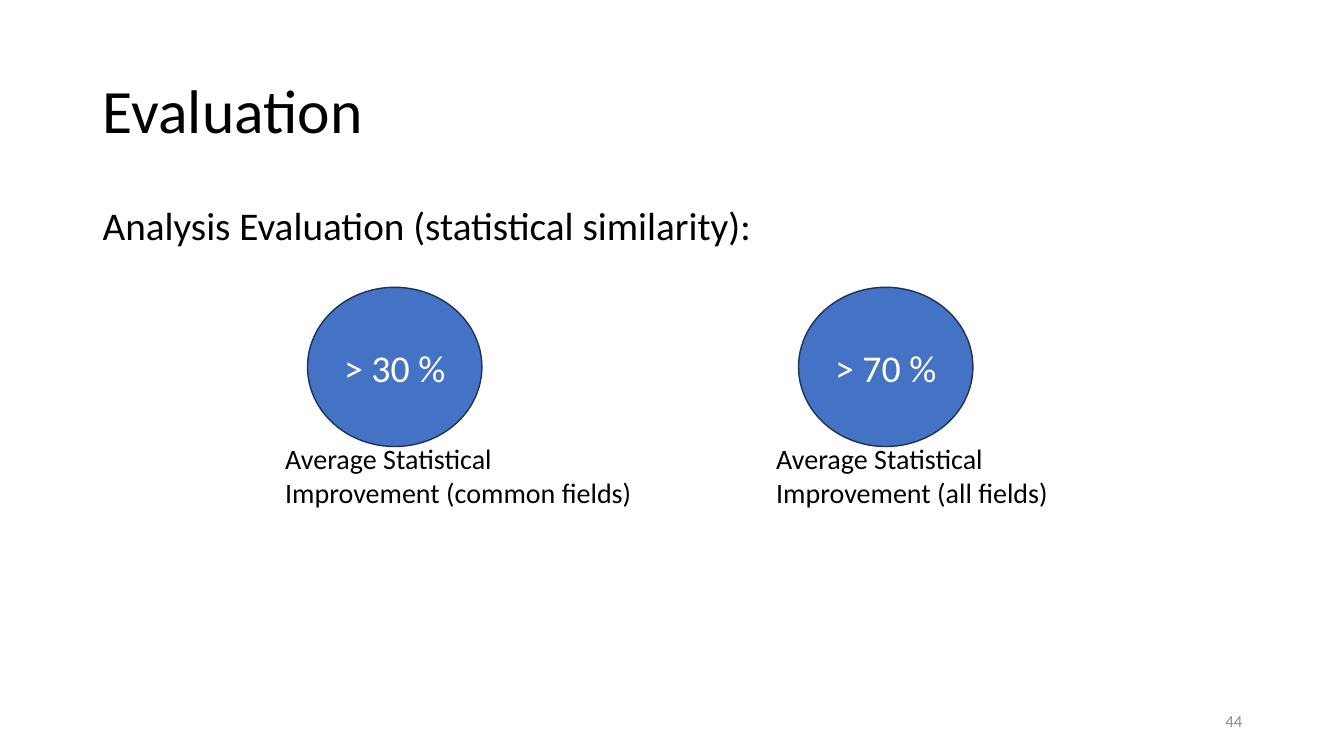
from pptx import Presentation
from pptx.dml.color import RGBColor
from pptx.enum.shapes import MSO_SHAPE
from pptx.enum.text import MSO_ANCHOR, PP_ALIGN
from pptx.util import Inches, Pt

TITLE = "Evaluation"
SUBTITLE = "Analysis Evaluation (statistical similarity):"
PAGE = "44"
# circle left, value, caption, caption width
RESULTS = [
    (3.05, "> 30 %", "Average Statistical Improvement (common fields)", 3.69),
    (7.92, "> 70 %", "Average Statistical Improvement (all fields)", 3),
]
COLORS = {"text": "000000", "page": "8C8C8C", "circle": "4472C4",
          "outline": "1E3256", "value": "FFFFFF"}
FONT = "Calibri"
CIRCLE_TOP, CIRCLE_W, CIRCLE_H = 2.85, 1.73, 1.58
CAPTION_TOP, CAPTION_H, CAPTION_SHIFT = 4.33, 0.77, -0.32


def color(name):
    return RGBColor.from_string(COLORS[name])


def write(shape, text, size, fill="text", align=PP_ALIGN.LEFT,
          anchor=MSO_ANCHOR.TOP, spacing=1.0):
    tf = shape.text_frame
    tf.word_wrap = True
    tf.vertical_anchor = anchor
    tf.text = text
    p = tf.paragraphs[0]
    p.alignment = align
    p.line_spacing = spacing
    p.font.name = FONT
    p.font.size = Pt(size)
    p.font.color.rgb = color(fill)


def add_text(s, box, text, size, **style):
    write(s.shapes.add_textbox(*map(Inches, box)), text, size, **style)


def add_result(s, left, value, caption, caption_w):
    box = (left, CIRCLE_TOP, CIRCLE_W, CIRCLE_H)
    circle = s.shapes.add_shape(MSO_SHAPE.OVAL, *map(Inches, box))
    circle.shadow.inherit = False
    circle.fill.solid()
    circle.fill.fore_color.rgb = color("circle")
    circle.line.color.rgb = color("outline")
    circle.line.width = Pt(1)
    write(circle, value, 27, "value", PP_ALIGN.CENTER, MSO_ANCHOR.MIDDLE)
    add_text(s, (left + CAPTION_SHIFT, CAPTION_TOP, caption_w, CAPTION_H),
             caption, 20)


def main():
    prs = Presentation()
    prs.slide_width, prs.slide_height = Inches(13.33), Inches(7.5)
    s = prs.slides.add_slide(prs.slide_layouts[5])

    title = s.shapes.title
    title.left, title.top = Inches(0.92), Inches(0.4)
    title.width, title.height = Inches(11.5), Inches(1.45)
    write(title, TITLE, 44, anchor=MSO_ANCHOR.MIDDLE, spacing=0.9)

    add_text(s, (0.92, 2, 11.5, 4.76), SUBTITLE, 28, spacing=0.9)
    add_text(s, (9.42, 6.95, 3, 0.4), PAGE, 12, fill="page",
             align=PP_ALIGN.RIGHT, anchor=MSO_ANCHOR.MIDDLE)
    for result in RESULTS:
        add_result(s, *result)

    prs.save("out.pptx")


if __name__ == "__main__":
    main()
